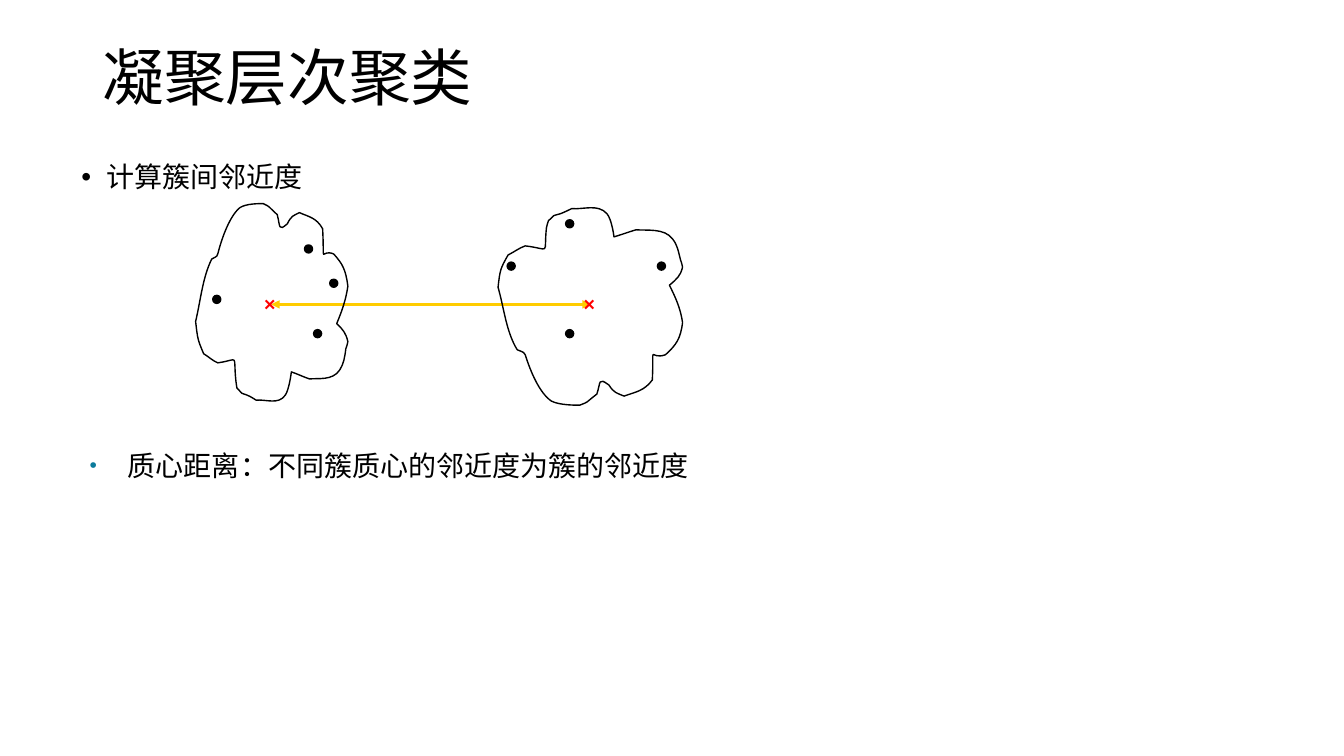
from lxml import etree
from pptx import Presentation, util as u
from pptx.dml.color import RGBColor
from pptx.enum import shapes, text
from pptx.oxml.ns import qn

PX = 9144  # one px is a hundredth of an inch
BLACK = RGBColor(0x00, 0x00, 0x00)
RED = RGBColor(0xFF, 0x00, 0x00)
GOLD = RGBColor(0xFF, 0xCC, 0x00)
TEAL = RGBColor(0x0C, 0x7B, 0x9C)
SANS, ARIAL = "Noto Sans CJK SC", "Arial"

# Cluster outline: a start point, then Bezier curves of three points each
START = (16, 55)
CURVES = [
    (7, 73, 5, 96, 0, 117), (2, 134, 2, 135, 8, 149),
    (13, 152, 17, 156, 22, 158), (44, 155, 37, 148, 40, 176),
    (40, 179, 41, 181, 41, 183), (48, 190, 43, 187, 51, 190),
    (54, 191, 60, 195, 60, 195), (70, 194, 82, 200, 89, 190),
    (93, 184, 95, 167, 95, 167), (101, 169, 107, 172, 113, 174),
    (121, 173, 136, 176, 143, 165), (147, 159, 148, 152, 149, 144),
    (150, 142, 151, 137, 151, 137), (149, 128, 146, 125, 140, 119),
    (145, 107, 149, 96, 151, 82), (149, 66, 146, 60, 137, 50),
    (123, 44, 128, 65, 126, 25), (120, 14, 112, 13, 103, 9),
    (97, 12, 95, 12, 91, 20), (82, 28, 84, 23, 81, 11),
    (70, 1, 75, 4, 67, 0), (63, 0, 50, 0, 44, 4),
    (34, 12, 26, 34, 22, 50), (21, 54, 18, 53, 16, 55),
]
WIDE, TALL = 151, 200

LEFT_DOTS = [(311, 327), (302, 243), (211, 293), (327, 277)]
RIGHT_DOTS = [(652, 260), (503, 260), (561, 327), (561, 218)]


def add_text(slide, box, words, size, font=SANS, color=BLACK, bold=False,
             top=5, wrap=True):
    shape = slide.shapes.add_textbox(*(n * PX for n in box))
    frame = shape.text_frame
    frame.word_wrap = wrap
    frame.margin_top = top * PX
    frame.text = words
    para = frame.paragraphs[0]
    face = para.runs[0].font
    face.size, face.bold, face.name = u.Pt(size), bold, font
    face.color.rgb = color
    east = etree.SubElement(para.runs[0]._r.get_or_add_rPr(), qn("a:ea"))
    east.set("typeface", font)
    return frame


def add_bullet(para, indent, color=None, scale=None):
    props = para._p.get_or_add_pPr()
    props.set("marL", str(indent * PX))
    props.set("indent", str(-indent * PX))
    if color is not None:
        tint = etree.SubElement(props, qn("a:buClr"))
        etree.SubElement(tint, qn("a:srgbClr")).set("val", str(color))
    if scale:
        etree.SubElement(props, qn("a:buSzPct")).set("val", str(scale * 1000))
    etree.SubElement(props, qn("a:buFont")).set("typeface", ARIAL)
    etree.SubElement(props, qn("a:buChar")).set("char", "•")


def set_line(shape, color, width):
    shape.line.color.rgb = color
    shape.line.width = u.Pt(width)


def add_blob(slide, left, top, width, flip=False):
    def place(x, y):
        return left + round(x * width / WIDE), top + (TALL - y if flip else y)

    points = [place(*c[i:i + 2]) for c in CURVES for i in (0, 2, 4)]
    pen = slide.shapes.build_freeform(*place(*START), scale=PX)
    pen.add_line_segments(points, close=True)
    blob = pen.convert_to_shape()
    blob.shadow.inherit = False
    blob.fill.background()
    set_line(blob, BLACK, 1)

    # Turn each three straight steps into one curve
    steps = list(blob._element.iter(qn("a:lnTo")))[:len(points)]
    for i in range(0, len(steps), 3):
        curve = etree.Element(qn("a:cubicBezTo"))
        steps[i].addprevious(curve)
        for step in steps[i:i + 3]:
            curve.append(step[0])
            step.getparent().remove(step)


def add_dot(slide, left, top):
    dot = slide.shapes.add_shape(shapes.MSO_SHAPE.OVAL, left * PX, top * PX,
                                 8 * PX, 8 * PX)
    dot.shadow.inherit = False
    dot.fill.solid()
    dot.fill.fore_color.rgb = BLACK
    set_line(dot, BLACK, 1)


def add_arrow(slide, left, right, y):
    arrow = slide.shapes.add_connector(shapes.MSO_CONNECTOR.STRAIGHT,
                                       left * PX, y * PX, right * PX, y * PX)
    set_line(arrow, GOLD, 2)
    line = arrow.line._get_or_add_ln()
    for end in ("a:headEnd", "a:tailEnd"):
        etree.SubElement(line, qn(end)).set("type", "triangle")
    etree.SubElement(arrow._element.spPr, qn("a:effectLst"))


def main():
    deck = Presentation()
    deck.slide_width, deck.slide_height = 1333 * PX, 750 * PX
    slide = deck.slides.add_slide(deck.slide_layouts[6])

    # Title and text
    title = add_text(slide, (92, 7, 1150, 145), "凝聚层次聚类", 44)
    title.vertical_anchor = text.MSO_ANCHOR.MIDDLE
    title.paragraphs[0].line_spacing = 0.9

    topic = add_text(slide, (71, 125, 1191, 69), "计算簇间邻近度", 20, top=17)
    add_bullet(topic.paragraphs[0], 25)
    topic.paragraphs[0].line_spacing = 1.5

    note = add_text(slide, (79, 437, 1084, 142),
                    "质心距离：不同簇质心的邻近度为簇的邻近度", 20, ARIAL, top=8)
    add_bullet(note.paragraphs[0], 38, TEAL, 75)

    # Distance between the centroids
    add_arrow(slide, 269, 586, 302)

    # Clusters: the right one is wider and upside down
    add_blob(slide, 194, 202, 151)
    add_blob(slide, 494, 202, 183, flip=True)
    for spot in LEFT_DOTS + RIGHT_DOTS:
        add_dot(slide, *spot)

    # Centroids
    for left in (252, 569):
        add_text(slide, (left, 285, 25, 33), "×", 14, ARIAL, RED, bold=True,
                 wrap=False)

    deck.save("out.pptx")


if __name__ == "__main__":
    main()
